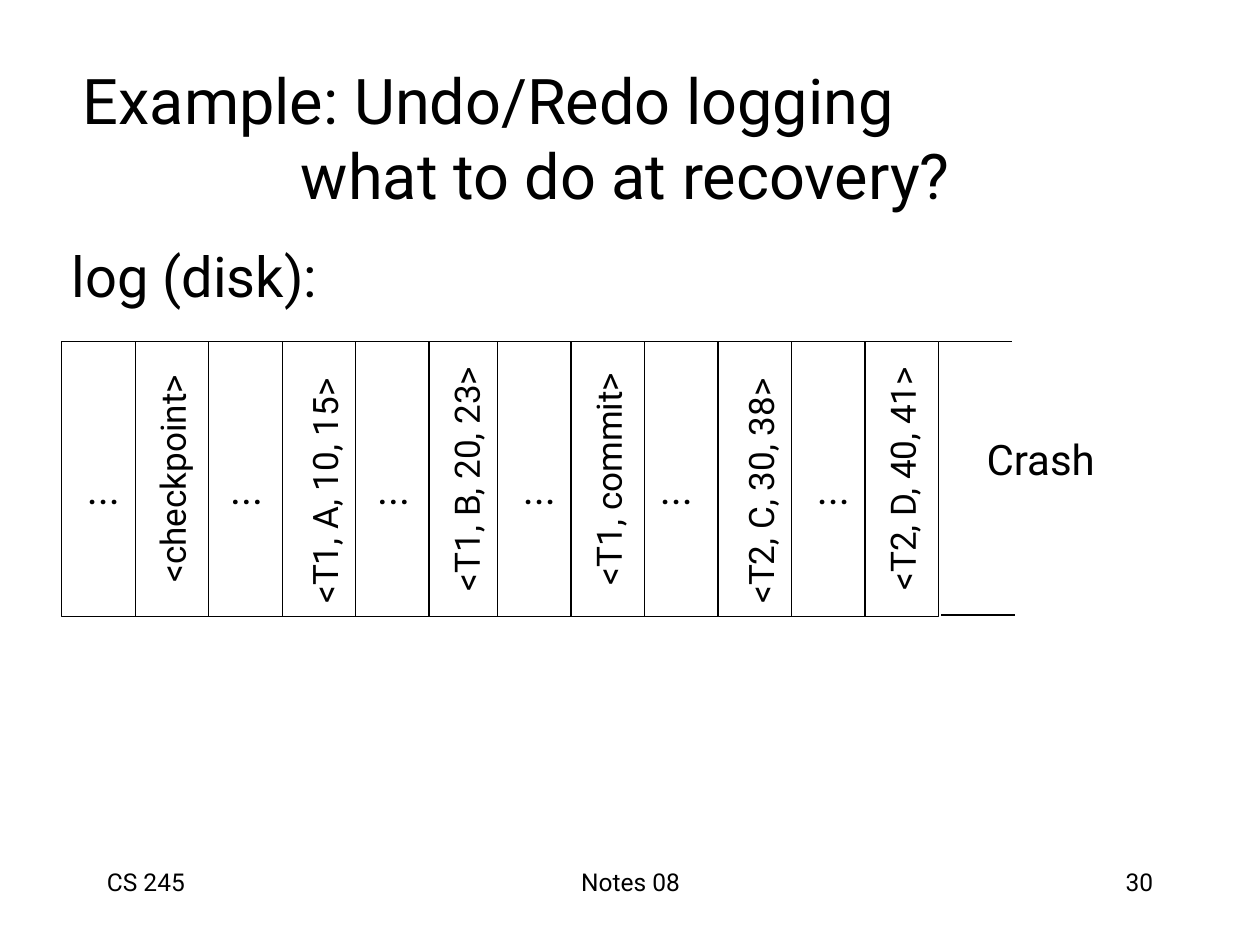
from lxml.etree import SubElement
from pptx import Presentation
from pptx.dml.color import RGBColor
from pptx.enum.shapes import MSO_CONNECTOR as Connector, MSO_SHAPE as Shape
from pptx.enum.text import MSO_ANCHOR as Anchor, PP_ALIGN as Align
from pptx.oxml.ns import qn
from pptx.util import Inches, Pt

BLACK, WHITE, FONT = "000000", "FFFFFF", "Roboto"
LINE_WIDTH = 0.75

TITLE = ["Example: Undo/Redo logging", "what to do at recovery?"]
FOOTERS = [("CS 245", 0.75, 2.08, Align.LEFT),
           ("Notes 08", 3.42, 3.17, Align.CENTER),
           ("30", 7.17, 2.08, Align.RIGHT)]

# Each half of the log: its left edge and its records (text, alignment),
# each record preceded by an empty cell with dots moved sideways by a nudge.
LOG_HALVES = [
    (0.49, [(0.04, "<checkpoint>", Align.CENTER),
            (0.01, "<T1, A, 10, 15>", Align.LEFT),
            (0.01, "<T1, B, 20, 23>", Align.CENTER)]),
    (3.95, [(0.04, "<T1, commit>", Align.CENTER),
            (-0.04, "<T2, C, 30, 38>", Align.LEFT),
            (0.04, "<T2, D, 40, 41>", Align.CENTER)]),
]
COLUMN = 7 / 12
LOG_TOP, LOG_HEIGHT = 2.71, 2.18
LOG_RIGHT = LOG_HALVES[-1][0] + 6 * COLUMN


def color(hex_string):
    return RGBColor.from_string(hex_string)


def write(shape, lines, size, align=Align.LEFT, anchor=Anchor.TOP,
          wrap=True, indents=(0,), top_inset=0.05):
    frame = shape.text_frame
    frame.word_wrap = wrap
    frame.vertical_anchor = anchor
    frame.margin_top = Inches(top_inset)
    for index, line in enumerate(lines):
        paragraph = frame.paragraphs[0] if index == 0 else frame.add_paragraph()
        paragraph.alignment = align
        if indents[index % len(indents)]:
            indent = Inches(indents[index % len(indents)])
            paragraph._p.get_or_add_pPr().set("marL", str(indent))
        run = paragraph.add_run()
        run.text = line
        run.font.name = FONT
        run.font.size = Pt(size)
        run.font.color.rgb = color(BLACK)


def add_text(slide, lines, left, top, width, height, size, **style):
    box = slide.shapes.add_textbox(*map(Inches, (left, top, width, height)))
    write(box, lines, size, **style)


def add_cell(slide, left):
    """Add a log cell turned by 270 degrees, so its text reads upwards."""
    center_x, center_y = left + COLUMN / 2, LOG_TOP + LOG_HEIGHT / 2
    cell = slide.shapes.add_shape(
        Shape.RECTANGLE, Inches(center_x - LOG_HEIGHT / 2),
        Inches(center_y - COLUMN / 2), Inches(LOG_HEIGHT), Inches(COLUMN))
    cell.rotation = 270
    cell.shadow.inherit = False
    cell.fill.solid()
    cell.fill.fore_color.rgb = color(WHITE)
    cell.line.color.rgb = color(BLACK)
    cell.line.width = Pt(LINE_WIDTH)
    return cell


def add_horizontal_line(slide, left, y):
    line = slide.shapes.add_connector(
        Connector.STRAIGHT, Inches(left), Inches(y), Inches(left + COLUMN), Inches(y))
    line.line.color.rgb = color(BLACK)
    line.line.width = Pt(LINE_WIDTH)
    SubElement(line._element.spPr, qn("a:effectLst"))


def add_log(slide):
    dot_centers = []
    for half_left, records in LOG_HALVES:
        for index, (nudge, record, align) in enumerate(records):
            left = half_left + 2 * index * COLUMN
            add_cell(slide, left)
            dot_centers.append(left + COLUMN / 2 + nudge)
            cell = add_cell(slide, left + COLUMN)
            write(cell, [record], 20, align=align, anchor=Anchor.MIDDLE, wrap=False,
                  top_inset=0.13 if align == Align.LEFT else 0.05)
    for center in dot_centers:
        add_text(slide, ["..."], center - 0.25, 3.62, 0.5, 0.5, 24,
                 align=Align.CENTER, anchor=Anchor.MIDDLE, wrap=False)


def main():
    presentation = Presentation()
    presentation.slide_width, presentation.slide_height = Inches(10), Inches(7.5)
    slide = presentation.slides.add_slide(presentation.slide_layouts[6])

    for text, left, width, align in FOOTERS:
        add_text(slide, [text], left, 6.83, width, 0.5, 14, align=align)
    add_text(slide, TITLE, 0.56, 0.46, 8.5, 1.25, 36,
             anchor=Anchor.MIDDLE, indents=(0, 1.73))
    add_text(slide, ["log (disk):"], 0.47, 1.87, 8.5, 3.14, 32)

    add_log(slide)
    add_horizontal_line(slide, LOG_RIGHT, LOG_TOP)
    add_horizontal_line(slide, LOG_RIGHT + 0.02, LOG_TOP + LOG_HEIGHT - 0.01)
    add_text(slide, ["Crash"], 7.71, 3.39, 1.1, 0.5, 24,
             align=Align.CENTER, anchor=Anchor.MIDDLE, wrap=False)
    presentation.save("out.pptx")


if __name__ == "__main__":
    main()
